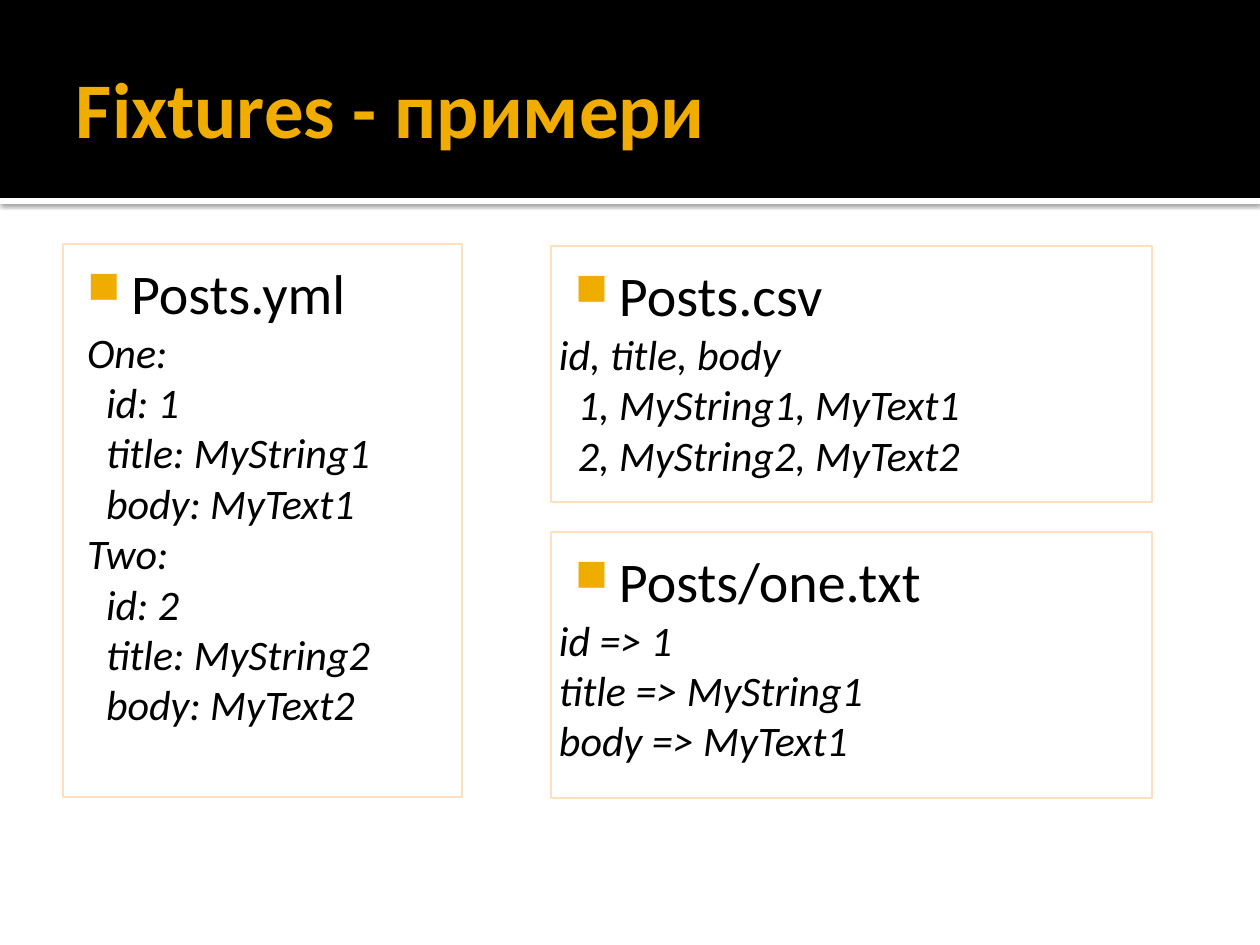
"""Build the slide that shows example fixture files in three formats."""
from lxml import etree
from pptx import Presentation
from pptx.dml.color import RGBColor
from pptx.enum.shapes import MSO_SHAPE as Preset
from pptx.enum.text import MSO_ANCHOR as Anchor, PP_ALIGN as Align
from pptx.oxml import parse_xml
from pptx.oxml.ns import nsdecls, qn
from pptx.util import Pt

PX = 914400 / 126
FONT = "Calibri"
GOLD, PEACH, BLACK, WHITE = "F0AD00", "FFDFBF", "000000", "FFFFFF"
INDENT, HANGING = 60, 44
TITLE = "Fixtures - примери"
PANELS = [
    {"place": (63, 244, 399, 553), "heading": "Posts.yml", "indented": True,
     "code": ["One:", "  id: 1", "  title: MyString1", "  body: MyText1",
              "Two:", "  id: 2", "  title: MyString2", "  body: MyText2"]},
    {"place": (551, 246, 601, 256), "heading": "Posts.csv", "indented": False,
     "code": ["id, title, body", "  1, MyString1, MyText1",
              "  2, MyString2, MyText2"]},
    {"place": (551, 532, 601, 266), "heading": "Posts/one.txt", "indented": False,
     "code": ["id => 1", "title => MyString1", "body => MyText1"]},
]


def px(length):
    return round(length * PX)


def color(value):
    return RGBColor.from_string(value)


def add_box(slide, place, fill=None, line=None):
    box = slide.shapes.add_shape(Preset.RECTANGLE, *map(px, place))
    box.shadow.inherit = False
    if fill:
        box.fill.solid()
        box.fill.fore_color.rgb = color(fill)
    else:
        box.fill.background()
    if line:
        box.line.color.rgb = color(line)
        box.line.width = Pt(1.5)
    else:
        box.line.fill.background()
    return box


def set_frame(frame, insets, anchor):
    frame.word_wrap = True
    frame.vertical_anchor = anchor
    (frame.margin_left, frame.margin_top,
     frame.margin_right, frame.margin_bottom) = map(px, insets)


def set_font(paragraph, size, ink, bold=False, italic=False):
    paragraph.alignment = Align.LEFT
    font = paragraph.font
    font.name, font.size, font.bold, font.italic = FONT, Pt(size), bold, italic
    font.color.rgb = color(ink)


def add_band_shadow(band):
    effects = band._element.spPr.find(qn("a:effectLst"))
    effects.append(parse_xml(
        f'<a:outerShdw {nsdecls("a")} blurRad="{Pt(2.5)}" dist="{Pt(0.8)}" '
        f'dir="5400000" algn="tl" rotWithShape="0"><a:srgbClr val="{BLACK}">'
        '<a:alpha val="60000"/></a:srgbClr></a:outerShdw>'))


def hang(paragraph):
    properties = paragraph._p.get_or_add_pPr()
    properties.set("marL", str(px(INDENT)))
    properties.set("indent", str(px(-HANGING)))
    return properties


def add_bullet(paragraph):
    properties = hang(paragraph)
    bullet_color = etree.SubElement(properties, qn("a:buClr"))
    etree.SubElement(bullet_color, qn("a:srgbClr"), val=GOLD)
    etree.SubElement(properties, qn("a:buSzPct"), val="80000")
    etree.SubElement(properties, qn("a:buChar"), char="■")


def add_panel(slide, place, heading, code, indented):
    frame = add_box(slide, place, line=PEACH).text_frame
    set_frame(frame, (8, 15, 13, 6), Anchor.TOP)
    top = frame.paragraphs[0]
    top.text = heading
    add_bullet(top)
    set_font(top, 32, BLACK)
    for code_line in code:
        paragraph = frame.add_paragraph()
        paragraph.text = code_line
        if indented:
            hang(paragraph)
        set_font(paragraph, 24, BLACK, italic=True)


def main():
    deck = Presentation()
    deck.slide_width, deck.slide_height = px(1260), px(945)
    slide = deck.slides.add_slide(deck.slide_layouts[6])
    add_band_shadow(add_box(slide, (0, 198, 1260, 6), fill=WHITE))
    add_box(slide, (0, 0, 1260, 198), fill=BLACK)
    title = slide.shapes.add_textbox(*map(px, (63, 21, 1134, 173))).text_frame
    set_frame(title, (13, 6, 6, 6), Anchor.MIDDLE)
    title.paragraphs[0].text = TITLE
    set_font(title.paragraphs[0], 45, GOLD, bold=True)
    for panel in PANELS:
        add_panel(slide, **panel)
    deck.save("out.pptx")


if __name__ == "__main__":
    main()
